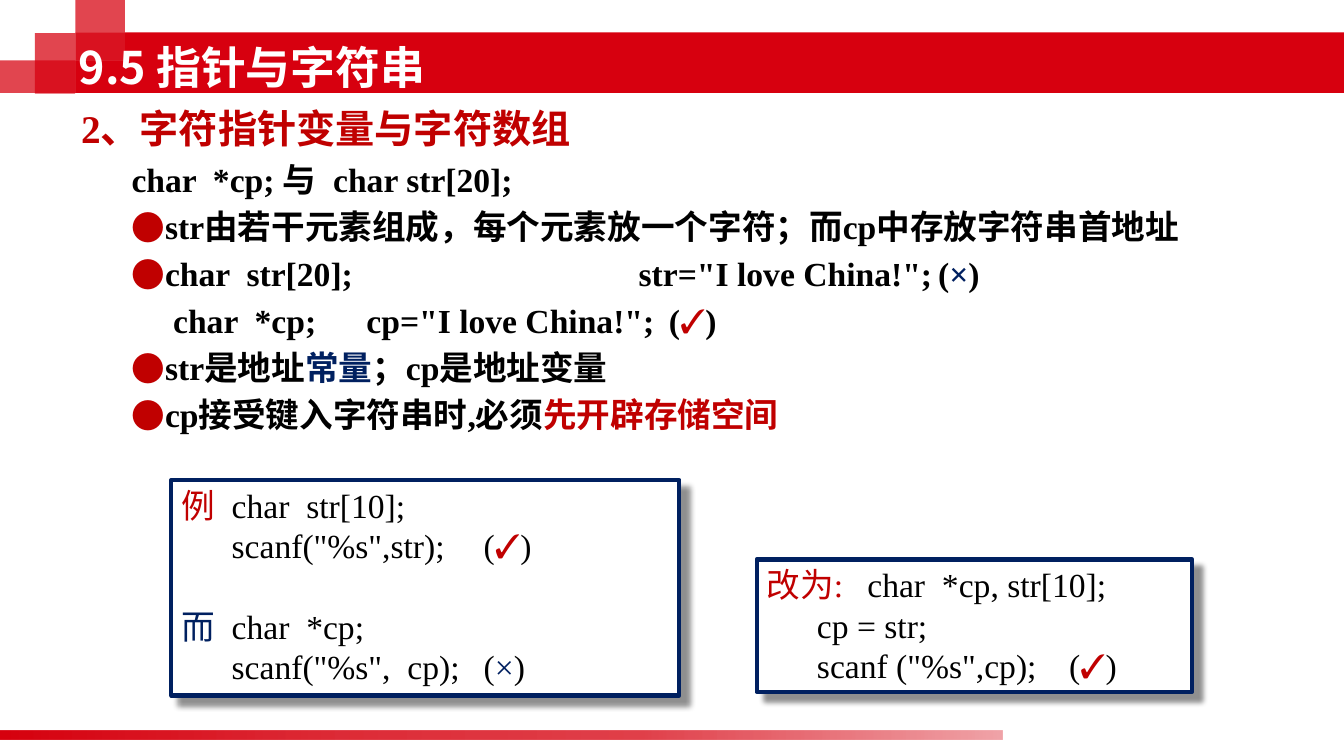
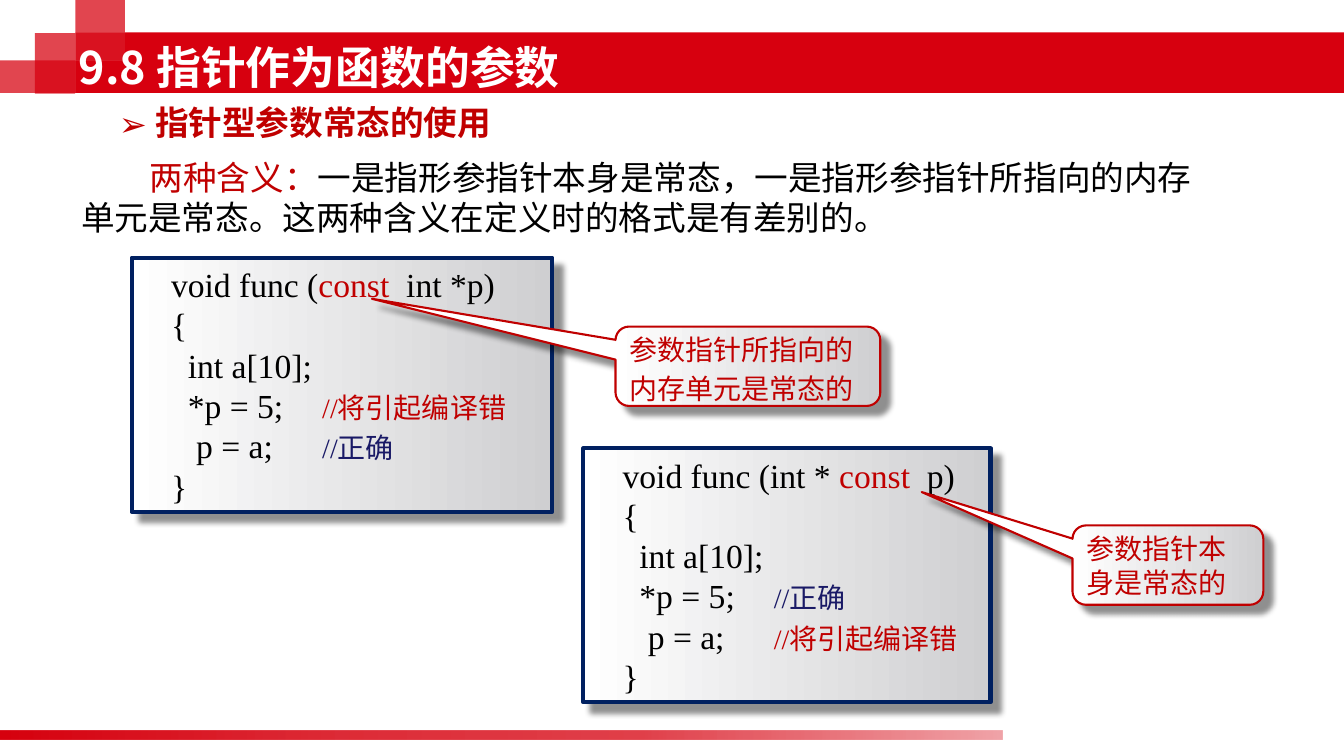
from dataclasses import dataclass

from lxml import etree
from pptx import Presentation
from pptx import util as u
from pptx.dml.color import RGBColor
from pptx.enum import shapes, text
from pptx.oxml import ns, parse_xml


@dataclass(frozen=True)
class Theme:
    """Colours, fonts and type sizes of the deck."""
    band: str = "D7000F"
    red: str = "C00000"
    navy: str = "002060"
    note: str = "191966"
    ink: str = "000000"
    paper: str = "FFFFFF"
    silver: str = "CFCFD1"
    serif: str = "Times New Roman"
    sans: str = "Noto Sans CJK SC"
    title: int = 32
    head: int = 28
    body: int = 24
    small: int = 20


T = Theme()
W, H = u.Inches(13.33), u.Inches(7.5)
CODE_INSET = 0.39
SILVER_FADE = [(0, T.silver, 100), (100, T.paper, 100)]
BAR_FADE = [(0, T.band, 100), (31, T.band, 84), (64, T.band, 75), (100, T.band, 36)]


def area(x, y, w, h):
    """Turn percentages of the slide into left, top, width, height."""
    return [int(v * side / 100) for v, side in ((x, W), (y, H), (w, W), (h, H))]


def sub(parent, tag, **attrs):
    """Append a DrawingML child and return it."""
    el = etree.SubElement(parent, ns.qn("a:" + tag))
    for k, v in attrs.items():
        el.set(k, str(v))
    return el


def add_color(parent, color, alpha=100):
    """Append an RGB colour with an opacity in percent."""
    sub(sub(parent, "srgbClr", val=color), "alpha", val=alpha * 1000)


def fill_gradient(sp, stops, angle):
    """Fill a shape with (position, colour, opacity) stops."""
    sp.fill.solid()
    spPr = sp.element.spPr
    grad = parse_xml(f'<a:gradFill {ns.nsdecls("a")} rotWithShape="1"/>')
    gs_list = sub(grad, "gsLst")
    for pos, color, alpha in stops:
        add_color(sub(gs_list, "gs", pos=pos * 1000), color, alpha)
    sub(grad, "lin", ang=angle * 60000, scaled=0)
    spPr.replace(spPr.find(ns.qn("a:solidFill")), grad)


def fill_solid(sp, color, alpha=100):
    """Fill a shape with one colour."""
    sp.fill.solid()
    sp.fill.fore_color.rgb = RGBColor.from_string(color)
    if alpha < 100:
        clr = sp.element.spPr.find(ns.qn("a:solidFill"))[0]
        sub(clr, "alpha", val=alpha * 1000)


def add_shadow(sp):
    """Cast a soft shadow down to the right."""
    effects = sp.element.spPr.find(ns.qn("a:effectLst"))
    shadow = sub(effects, "outerShdw", blurRad=u.Pt(4), dist=u.Pt(8.4),
                 dir=45 * 60000, algn="ctr", rotWithShape=0)
    add_color(shadow, T.ink, 43)


def add_run(p, s, color=T.ink, font=T.serif, **fmt):
    """Add one formatted run to a paragraph."""
    r = p.add_run()
    r.text = s
    r.font.name = font
    r.font.color.rgb = RGBColor.from_string(color)
    for k, v in fmt.items():
        setattr(r.font, k, v)
    sub(r.font._element, "ea", typeface=T.sans)


def para(*runs, **fmt):
    """Describe a paragraph: runs are strings or (string, format) pairs."""
    return runs, fmt


def set_layout(p, size, lead=1.2, left=0, first=0, before=0, bullet=None, tabs=()):
    """Set spacing, indents, bullet and tab stops of a paragraph."""
    p.line_spacing = u.Pt(size * lead)
    p.space_before = u.Pt(before)
    pPr = p._p.get_or_add_pPr()
    pPr.set("marL", str(u.Inches(left)))
    pPr.set("indent", str(u.Inches(first)))
    if bullet:
        sub(sub(pPr, "buClr"), "srgbClr", val=T.red)
        sub(pPr, "buFont", typeface=T.sans)
        sub(pPr, "buChar", char=bullet)
    else:
        sub(pPr, "buNone")
    if tabs:
        tab_list = sub(pPr, "tabLst")
        for pos in tabs:
            sub(tab_list, "tab", pos=u.Inches(pos), algn="l")


def write(sp, paras, size=T.body, anchor="TOP", inset=0.1, bold=False):
    """Write the paragraphs into a shape."""
    tf = sp.text_frame
    frame = dict(word_wrap=True, auto_size=text.MSO_AUTO_SIZE.NONE,
                 vertical_anchor=getattr(text.MSO_ANCHOR, anchor),
                 margin_left=u.Inches(inset), margin_right=u.Inches(0.1),
                 margin_top=u.Inches(0.05), margin_bottom=u.Inches(0.05))
    for k, v in frame.items():
        setattr(tf, k, v)
    for i, (runs, fmt) in enumerate(paras):
        p = tf.add_paragraph() if i else tf.paragraphs[0]
        p.alignment = text.PP_ALIGN.LEFT
        fmt = dict(fmt)
        p_size = fmt.pop("size", size)
        set_layout(p, p_size, **fmt)
        for run in runs:
            s, look = (run, {}) if isinstance(run, str) else run
            add_run(p, s, **{"size": u.Pt(p_size), "bold": bold, **look})


def add_text(slide, at, paras, **fmt):
    """Add a text box."""
    write(slide.shapes.add_textbox(*area(*at)), paras, **fmt)


def add_rect(slide, at, kind="RECTANGLE"):
    """Add a preset shape without line or shadow."""
    sp = slide.shapes.add_shape(getattr(shapes.MSO_SHAPE, kind), *area(*at))
    sp.shadow.inherit = False
    sp.line.fill.background()
    return sp


def add_panel(slide, at, paras, line=T.navy, weight=3, fade=False,
              kind="RECTANGLE", adj=(), **fmt):
    """Add an outlined, shadowed panel with text."""
    sp = add_rect(slide, at, kind)
    for i, v in enumerate(adj):
        sp.adjustments[i] = v
    if fade:
        fill_gradient(sp, SILVER_FADE, 180)
    else:
        fill_solid(sp, T.paper)
    sp.line.color.rgb = RGBColor.from_string(line)
    sp.line.width = u.Pt(weight)
    add_shadow(sp)
    write(sp, paras, **fmt)


def add_code(slide, at, paras):
    """Add a panel with a code listing."""
    add_panel(slide, at, paras, fade=True, anchor="MIDDLE", inset=CODE_INSET)


def add_callout(slide, at, s, tip, lead=1.2):
    """Add a red rounded callout pointing at tip."""
    add_panel(slide, at, [para((s, RED), lead=lead)], line=T.red, weight=1.5, fade=True,
              kind="ROUNDED_RECTANGULAR_CALLOUT", adj=(*tip, 0.17),
              size=T.small, anchor="MIDDLE")


def decorate(layout, slide):
    """Build the bands on a slide and move them to its layout."""
    parts = []
    for at, alpha in (((0, 8, 9.3, 4.3), 73), ((2.6, 4.4, 3, 8), 73),
                      ((5.6, 0, 3.7, 8), 73), ((5.6, 4.3, 3.7, 3.7), 73),
                      ((5.6, 8, 3.7, 4.3), 100), ((9.3, 4.3, 90.7, 8), 100)):
        sp = add_rect(slide, at)
        fill_solid(sp, T.band, alpha)
        parts.append(sp)
    bar = add_rect(slide, (0, 96.7, 74.6, 1.1))
    fill_gradient(bar, BAR_FADE, 0)
    for sp in parts + [bar]:
        layout.shapes.element.append(sp.element)


def add_slide(prs, layout, title):
    """Add a slide with its title on the band."""
    slide = prs.slides.add_slide(layout)
    sp = slide.shapes.title
    sp.left, sp.top, sp.width, sp.height = area(5.1, 4.4, 66.8, 8.9)
    write(sp, [para((title, dict(color=T.paper, font=T.sans)))],
          size=T.title, anchor="MIDDLE", bold=True)
    return slide


RED = dict(color=T.red)
NAVY = dict(color=T.navy)
YES, NO = ("✓", RED), ("×", NAVY)
ERROR = ("//将引起编译错", dict(color=T.red, size=u.Pt(T.small)))
RIGHT = ("//正确", dict(color=T.note, size=u.Pt(T.small)))


def fill_strings(slide):
    """Fill the slide on character pointers and arrays."""
    line = dict(left=0.83, before=4.8)
    item = dict(line, first=-0.33, bullet="●")
    stops = (2.28, 5.53)
    add_text(slide, (5.3, 13.2, 87.5, 51.3), [
        para(("2、字符指针变量与字符数组", RED), size=T.head),
        para("char  *cp;\t与\tchar str[20];", left=0.5, before=4.8, tabs=(1.83, 2.55)),
        para("str由若干元素组成，每个元素放一个字符；而cp中存放字符串首地址", **item),
        para('char  str[20];\tstr="I love China!";\t(', NO, ")", tabs=stops, **item),
        para(' char  *cp;\tcp="I love China!";\t(', YES, ")", tabs=stops, **line),
        para("str是地址", ("常量", NAVY), "；cp是地址变量", **item),
        para("cp接受键入字符串时,必须", ("先开辟存储空间", RED), **item),
    ], bold=True)
    stops = (0.6, 3.1)
    add_panel(slide, (12.75, 63.5, 37.8, 28.5), [
        para(("例", dict(RED, font=T.sans)), "\tchar  str[10];", tabs=stops),
        para('\tscanf("%s",str);\t(', YES, ")", tabs=stops),
        para(("而", dict(NAVY, font=T.sans)), "\tchar  *cp;", tabs=stops, before=28.8),
        para('\tscanf("%s",  cp);\t(', NO, ")", tabs=stops),
    ])
    stops = (0.95, 3.57)
    add_panel(slide, (56.3, 74, 32.4, 17.5), [
        para(("改为:", RED), "\tchar  *cp, str[10];", tabs=stops),
        para("\tcp = str;", tabs=stops),
        para('\tscanf ("%s",cp);\t(', YES, ")", tabs=stops),
    ])


def listing(head, first_note, second_note, stop):
    """Return the paragraphs of a function with two commented lines."""
    return [para(*head), para("{"), para("  int a[10];"),
            para("  *p = 5;\t", first_note, tabs=(stop,)),
            para("   p = a;\t", second_note, tabs=(stop,)), para("}")]


def fill_params(slide):
    """Fill the slide on constant pointer parameters."""
    add_text(slide, (8.1, 12.8, 30.2, 6.7), [
        para(("指针型参数常态的使用", RED), left=0.36, first=-0.36, bullet="➢")], bold=True)
    add_text(slide, (5.3, 20, 86, 12.1), [
        para(("两种含义：", RED),
             "一是指形参指针本身是常态，一是指形参指针所指向的内存单元是常态。"
             "这两种含义在定义时的格式是有差别的。", first=0.68)], anchor="MIDDLE")
    add_code(slide, (9.8, 34.1, 31.3, 33.6), listing(
        ["void func (", ("const  ", RED), "int *p)"], ERROR, RIGHT, 1.45))
    add_callout(slide, (45.8, 43.2, 19.7, 10.5), "参数指针所指向的内存单元是常态的",
                (-1.42, -0.85), lead=1.4)
    add_code(slide, (43.4, 59.3, 30.3, 33.6), listing(
        ["void func (int * ", ("const", RED), "  p)"], RIGHT, ERROR, 1.36))
    add_callout(slide, (79.8, 69.5, 14.2, 10.5), "参数指针本身是常态的", (-1.29, -0.92))


def main():
    """Build and save the deck."""
    prs = Presentation()
    prs.slide_width, prs.slide_height = W, H
    layout = prs.slide_layouts.get_by_name("Title Only")
    strings = add_slide(prs, layout, "9.5 指针与字符串")
    decorate(layout, strings)
    fill_strings(strings)
    fill_params(add_slide(prs, layout, "9.8 指针作为函数的参数"))
    prs.save("out.pptx")


if __name__ == "__main__":
    main()
